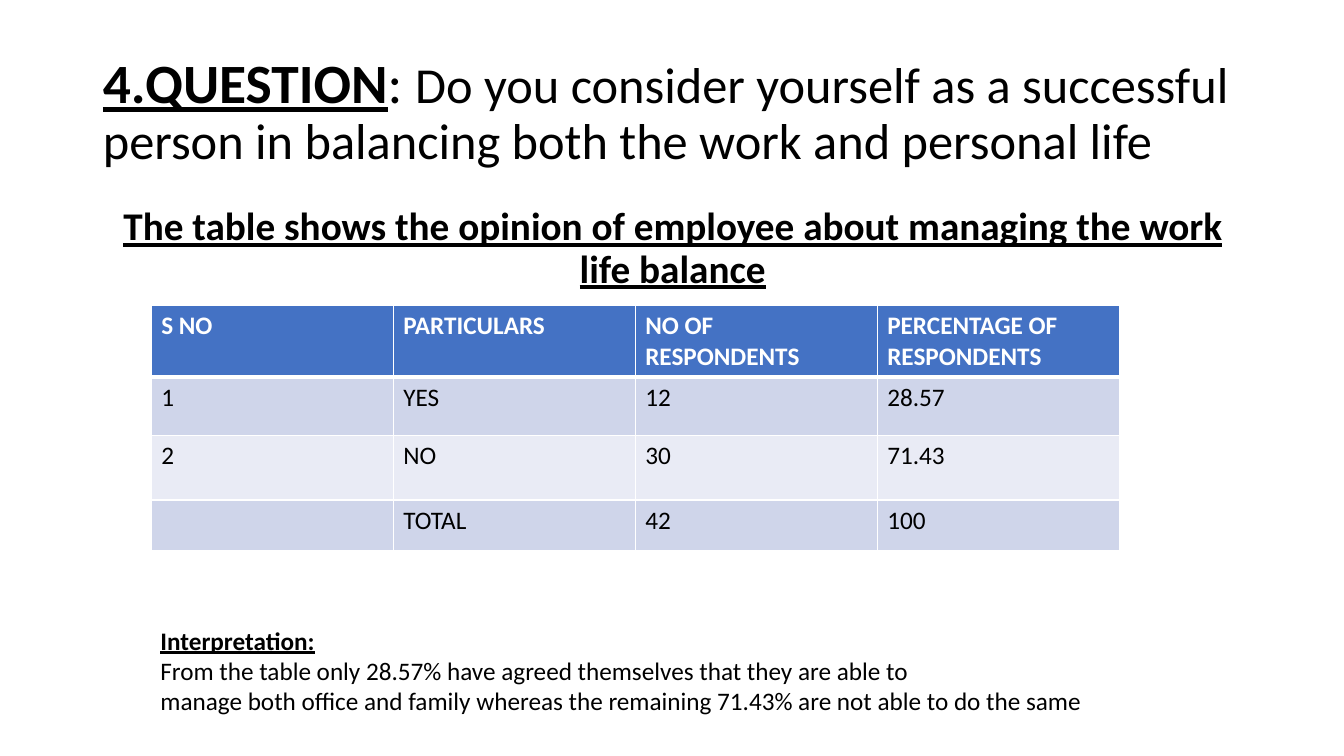
from lxml.etree import SubElement
from pptx import Presentation
from pptx.dml.color import RGBColor
from pptx.enum.text import MSO_ANCHOR as Anchor, MSO_AUTO_SIZE as AutoSize, PP_ALIGN as Align
from pptx.oxml.ns import qn
from pptx.util import Inches, Pt

WIDTH, HEIGHT = 13.33, 7.5
BLACK, WHITE, HEADER_BLUE = "000000", "FFFFFF", "4472C4"
BANDS = ["CFD5EA", "E9EBF5"]
COLUMN_WIDTH = 2.4
ROW_HEIGHTS = [0.7, 0.58, 0.64, 0.5]
ROWS = [
    ["S NO", "PARTICULARS", "NO OF RESPONDENTS", "PERCENTAGE OF RESPONDENTS "],
    ["1", "YES", "12", "28.57"],
    ["2", "NO", "30", "71.43"],
    ["", "TOTAL", "42", "100"],
]


def color(hex_text):
    return RGBColor.from_string(hex_text)


def add_text(para, text, size=18, hue=BLACK, bold=False, underline=False):
    span = para.add_run()
    span.text = text
    font = span.font
    font.name, font.size = "Calibri", Pt(size)
    font.bold, font.underline = bold, underline
    font.color.rgb = color(hue)


def place(box, left, top, width, height):
    box.left, box.top = Inches(left * WIDTH), Inches(top * HEIGHT)
    box.width, box.height = Inches(width * WIDTH), Inches(height * HEIGHT)


def prepare(box, anchor, align):
    frame = box.text_frame
    frame.word_wrap = True
    frame.auto_size = AutoSize.NONE
    frame.vertical_anchor = anchor
    para = frame.paragraphs[0]
    para.alignment = align
    return para


def fill_title(title):
    place(title, 0.069, 0.053, 0.863, 0.193)
    para = prepare(title, Anchor.MIDDLE, Align.LEFT)
    para.line_spacing = 0.9
    add_text(para, "4.QUESTION", size=39.6, bold=True, underline=True)
    add_text(para, ": ", size=39.6)
    add_text(para, "Do you consider yourself as a successful person in "
                   "balancing both the work and personal life", size=36)


def fill_body(body):
    place(body, 0.069, 0.267, 0.863, 0.635)
    para = prepare(body, Anchor.TOP, Align.CENTER)
    para.line_spacing, para.space_before = 0.9, Pt(10)
    properties = para._p.get_or_add_pPr()
    properties.set("marL", "0")
    properties.set("indent", "0")
    SubElement(properties, qn("a:buNone"))
    add_text(para, "The table shows the opinion of employee about managing "
                   "the work life balance", size=28, bold=True, underline=True)


def add_borders(cell, **widths):
    properties = cell._tc.get_or_add_tcPr()
    for side, width in widths.items():
        line = SubElement(properties, qn(f"a:ln{side}"), w=str(Pt(width)))
        fill = SubElement(line, qn("a:solidFill"))
        SubElement(fill, qn("a:srgbClr"), val=WHITE)


def add_results(page):
    columns = len(ROWS[0])
    table = page.shapes.add_table(
        len(ROWS), columns, Inches(1.5), Inches(3.03),
        Inches(COLUMN_WIDTH * columns), Inches(sum(ROW_HEIGHTS))).table
    for column in table.columns:
        column.width = Inches(COLUMN_WIDTH)
    for index, (height, texts) in enumerate(zip(ROW_HEIGHTS, ROWS)):
        header = index == 0
        table.rows[index].height = Inches(height)
        for cell, text in zip(table.rows[index].cells, texts):
            add_borders(cell, L=1, R=1, T=3 if index == 1 else 1, B=3 if header else 1)
            cell.fill.solid()
            cell.fill.fore_color.rgb = color(HEADER_BLUE if header else BANDS[(index - 1) % 2])
            if text:
                add_text(cell.text_frame.paragraphs[0], text,
                         hue=WHITE if header else BLACK, bold=header)


def add_interpretation(page):
    box = page.shapes.add_textbox(0, 0, 0, 0)
    place(box, 0.112, 0.82, 0.739, 0.135)
    heading = prepare(box, Anchor.TOP, Align.LEFT)
    add_text(heading, "Interpretation:", bold=True, underline=True)
    for text in [
        "From the table only 28.57% have agreed themselves that they are able to ",
        "manage both office and family whereas the remaining 71.43% are not able to do the same",
    ]:
        add_text(box.text_frame.add_paragraph(), text)


def main():
    deck = Presentation()
    deck.slide_width, deck.slide_height = Inches(WIDTH), Inches(HEIGHT)
    page = deck.slides.add_slide(deck.slide_layouts[1])
    fill_title(page.shapes.title)
    fill_body(page.placeholders[1])
    add_results(page)
    add_interpretation(page)
    deck.save("out.pptx")


main()
